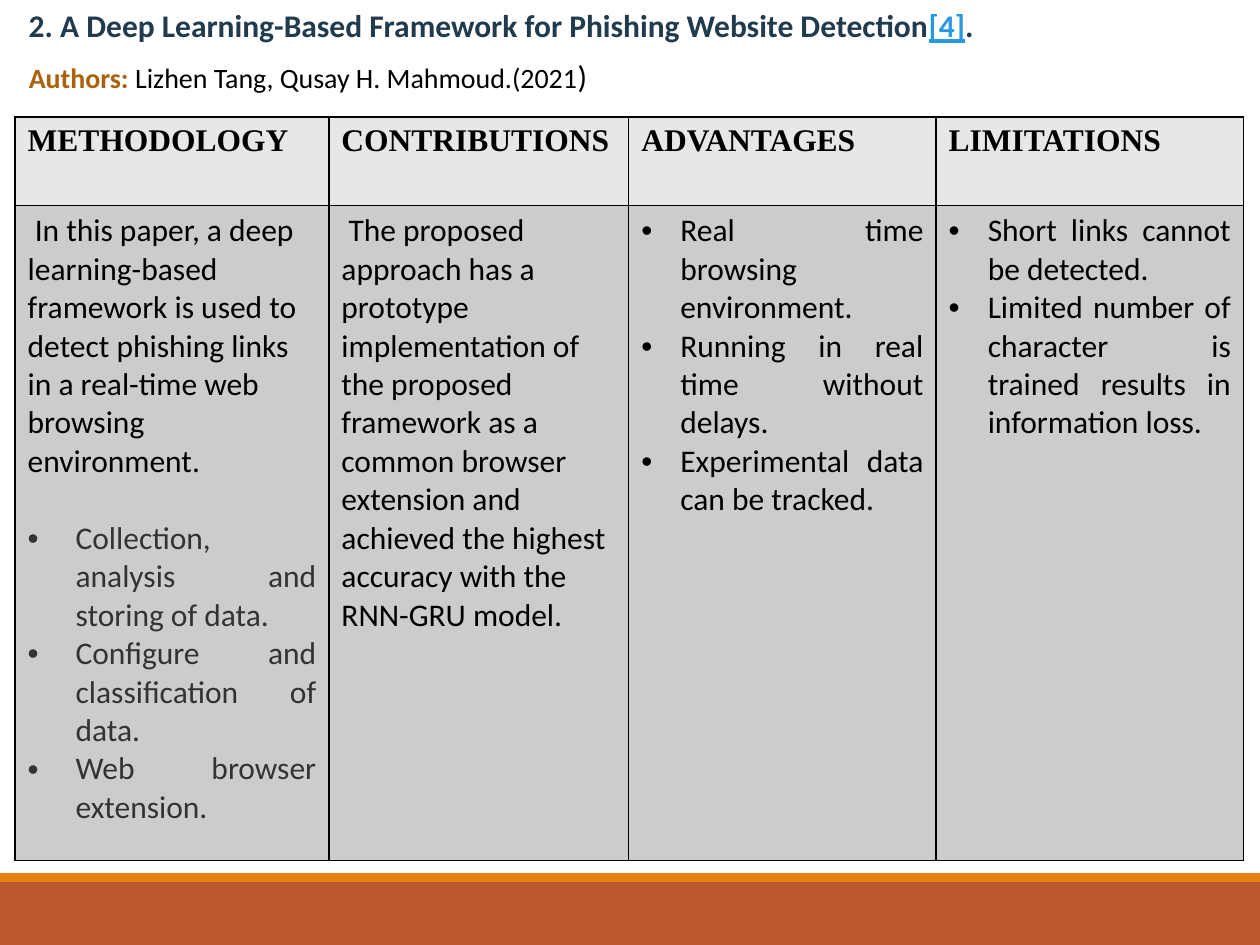
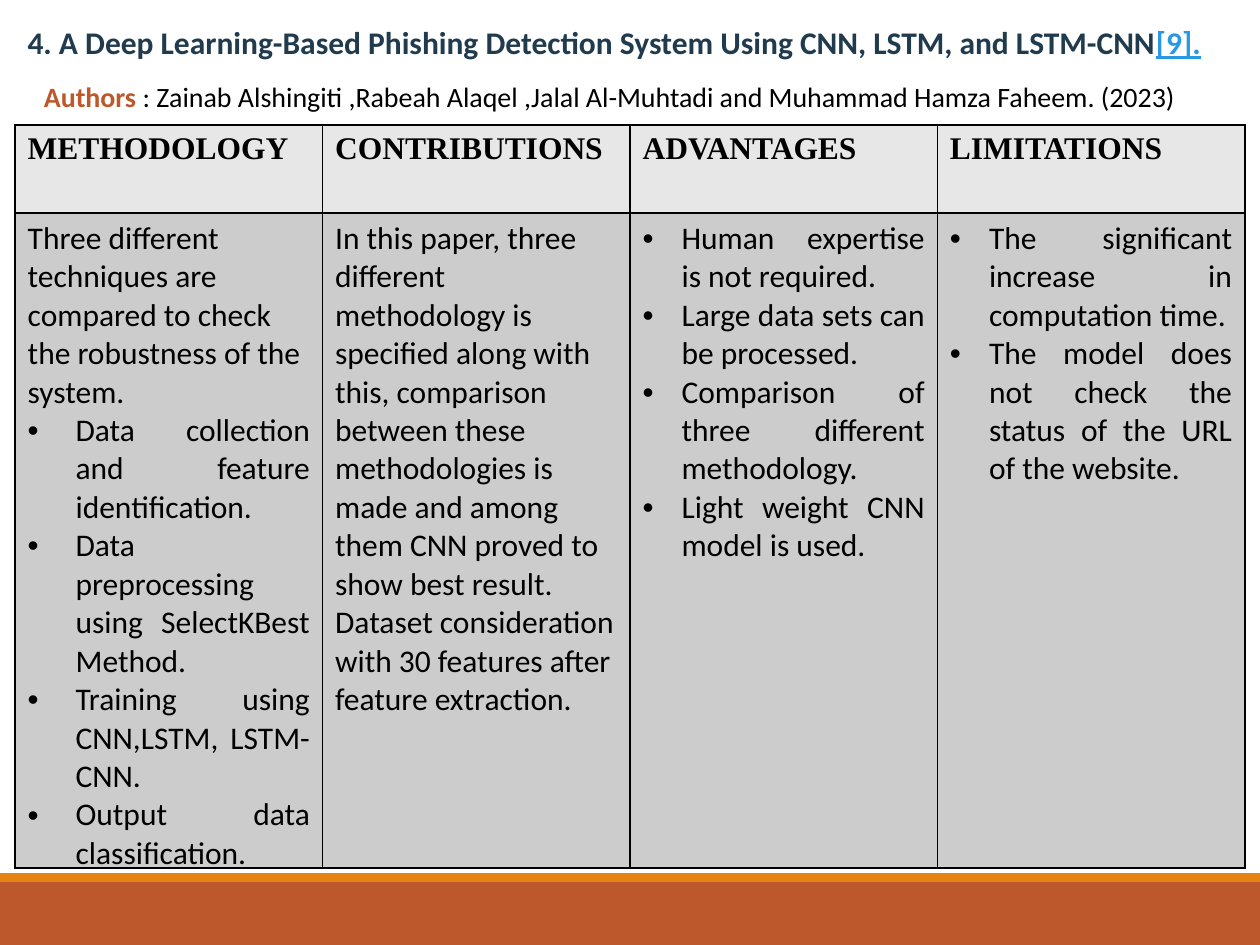
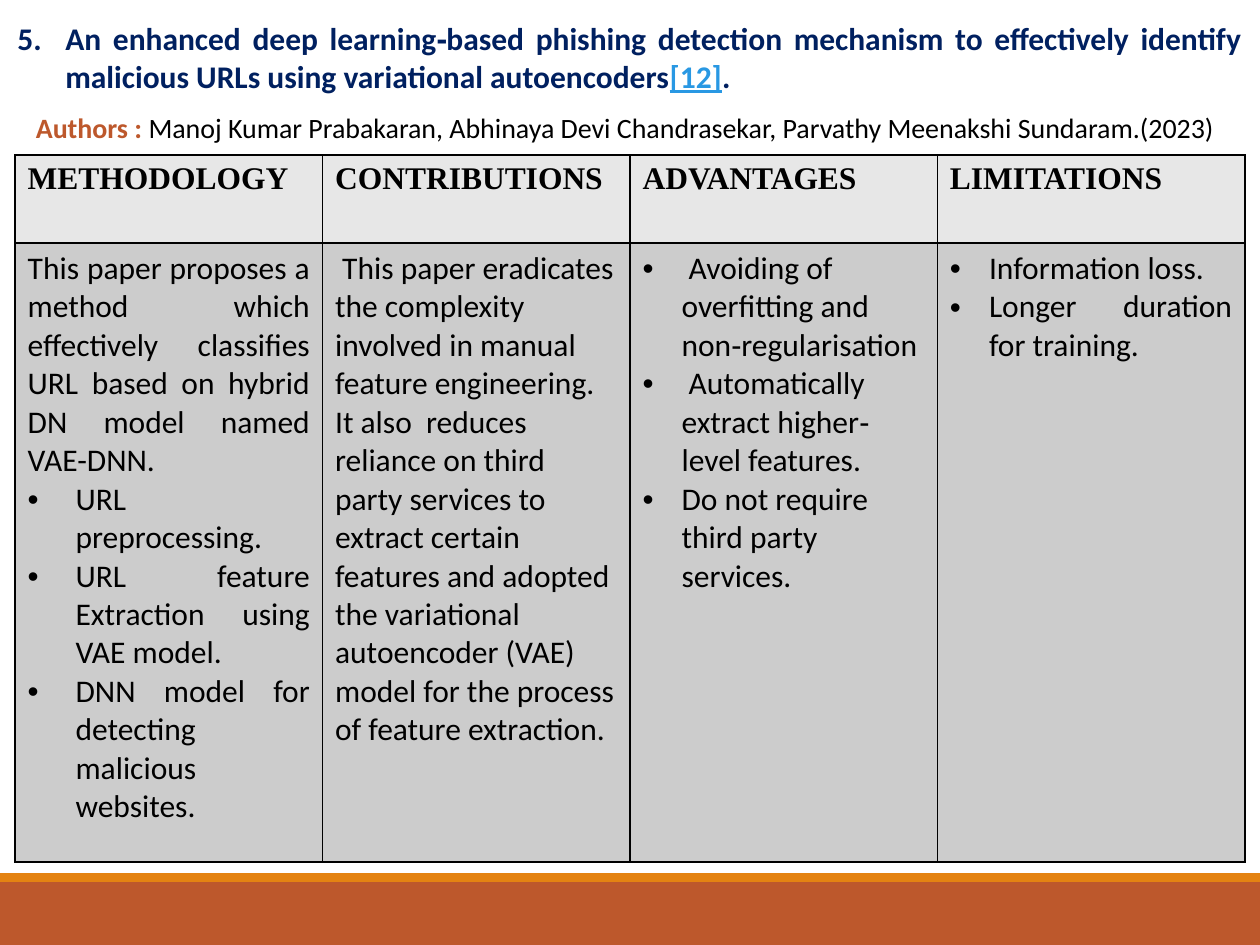
from dataclasses import dataclass

from lxml import etree
from pptx import Presentation
from pptx import util as u
from pptx.dml.color import RGBColor
from pptx.enum import shapes, text
from pptx.oxml.ns import qn

LEFT, JUSTIFY = text.PP_ALIGN.LEFT, text.PP_ALIGN.JUSTIFY


@dataclass(frozen=True)
class Theme:
    body_font: str = "Calibri"
    head_font: str = "Times New Roman"
    large: int = 18
    small: int = 16
    ink: str = "000000"
    soft_ink: str = "333333"
    slate: str = "203A4E"
    navy: str = "002060"
    link: str = "2998E3"
    ochre: str = "AB620D"
    rust: str = "BD582C"
    orange: str = "E48312"
    head_fill: str = "E7E7E7"
    body_fill: str = "CCCCCC"


@dataclass(frozen=True)
class Column:
    intro: str = ""
    bullets: tuple = ()
    intro_align: object = LEFT
    bullet_align: object = JUSTIFY
    bullet_color: str = Theme.ink
    bullet_gap: int = 0


@dataclass(frozen=True)
class Line:
    """A text box above the table; each span is text, size, colour, bold, underline."""
    place: tuple
    spans: tuple
    align: object = JUSTIFY
    number: int = 0


theme = Theme()
HEADINGS = ("METHODOLOGY", "CONTRIBUTIONS", "ADVANTAGES", "LIMITATIONS")
BANDS = ((7, 0.5, theme.rust), (6.93, 0.07, theme.orange))


def hang(para, indent, tag, **attributes):
    """Give the paragraph a hanging indent with the bullet that tag describes."""
    properties = para._p.get_or_add_pPr()
    properties.set("marL", str(u.Inches(indent)))
    properties.set("indent", str(-u.Inches(indent)))
    if tag == "a:buChar":
        etree.SubElement(properties, qn("a:buFont"), typeface="Arial")
    etree.SubElement(properties, qn(tag), **attributes)


def style(font, size, color, bold=False, underline=False, name=theme.body_font):
    font.name, font.size, font.bold = name, u.Pt(size), bold
    font.color.rgb = RGBColor.from_string(color)
    if underline:
        font.underline = True


papers = [
    dict(
        lines=(
            Line((0.13, 0, 9.73, 0.4), (
                ("2. A Deep Learning-Based Framework for Phishing Website Detection",
                 theme.large, theme.slate, True),
                ("[4]", theme.large, theme.link, True, True),
                (".", theme.large, theme.slate, True))),
            Line((0.13, 0.4, 7.21, 0.4), (
                ("Authors: ", theme.small, theme.ochre, True),
                ("Lizhen Tang, Qusay H. Mahmoud.(2021", theme.small, theme.ink),
                (")", theme.large, theme.ink))),
        ),
        top=0.93, widths=(2.49, 2.38, 2.44, 2.44), body_height=5.2,
        columns=(
            Column(" In this paper, a deep learning-based framework is used to detect "
                   "phishing links in a real-time web browsing environment.",
                   ("Collection, analysis and storing of data.",
                    "Configure and classification of data.",
                    "Web browser extension."),
                   bullet_color=theme.soft_ink, bullet_gap=22),
            Column(" The proposed approach has a prototype implementation of the proposed "
                   "framework as a common browser extension and achieved the highest "
                   "accuracy with the RNN-GRU model."),
            Column(bullets=("Real time browsing environment.",
                            "Running in real time without delays.",
                            "Experimental data can be tracked.")),
            Column(bullets=("Short links cannot be detected.",
                            "Limited number of character is trained results in "
                            "information loss.")),
        ),
    ),
    dict(
        lines=(
            Line((0.12, 0.13, 9.75, 0.4), (
                ("4. A Deep Learning-Based Phishing Detection System Using CNN, LSTM, "
                 "and LSTM-CNN", theme.large, theme.slate, True),
                ("[9].", theme.large, theme.link, True, True)), LEFT),
            Line((0.25, 0.58, 9.75, 0.37), (
                ("Authors ", theme.small, theme.rust, True),
                (": Zainab Alshingiti ,Rabeah Alaqel ,Jalal Al-Muhtadi and Muhammad "
                 "Hamza Faheem. (2023)", theme.small, theme.ink))),
        ),
        top=0.99, widths=(2.44,) * 4, body_height=5.2,
        columns=(
            Column("Three different techniques are compared to check the robustness of "
                   "the system.",
                   ("Data collection and feature identification.",
                    "Data preprocessing using SelectKBest Method.",
                    "Training using CNN,LSTM, LSTM-CNN.",
                    "Output data classification.")),
            Column("In this paper, three different methodology is specified along with "
                   "this, comparison between these methodologies is made and among them "
                   "CNN proved to show best result. Dataset consideration with 30 "
                   "features after feature extraction."),
            Column(bullets=("Human expertise is not required.",
                            "Large data sets can be processed.",
                            "Comparison of three different methodology.",
                            "Light weight CNN model is used.")),
            Column(bullets=("The significant increase in computation time.",
                            "The model does not check the status of the URL of the "
                            "website.")),
        ),
    ),
    dict(
        lines=(
            Line((0.04, 0.1, 9.92, 0.71), (
                ("An enhanced deep learning‐based phishing detection mechanism to "
                 "effectively identify malicious URLs using variational autoencoders",
                 theme.large, theme.navy, True),
                ("[12]", theme.large, theme.link, True, True),
                (".", theme.large, theme.navy, True)), number=5),
            Line((0.13, 0.8, 9.74, 0.4), (
                (" ", theme.large, theme.rust, True),
                ("Authors : ", theme.small, theme.rust, True),
                ("Manoj Kumar Prabakaran, Abhinaya Devi Chandrasekar, Parvathy "
                 "Meenakshi Sundaram.(2023)", theme.small, theme.ink)), LEFT),
        ),
        top=1.23, widths=(2.44,) * 4, body_height=4.91,
        columns=(
            Column("This paper proposes a method which effectively classifies URL based "
                   "on hybrid DN model named VAE-DNN.",
                   ("URL preprocessing.",
                    "URL feature Extraction using VAE model.",
                    "DNN model for detecting malicious websites."),
                   intro_align=JUSTIFY),
            Column(" This paper eradicates the complexity involved in manual feature "
                   "engineering. It also  reduces reliance on third party services to "
                   "extract certain features and adopted the variational autoencoder "
                   "(VAE) model for the process of feature extraction."),
            Column(bullets=(" Avoiding of overfitting and non‐regularisation",
                            " Automatically extract higher‐level features.",
                            "Do not require third party services."),
                   bullet_align=LEFT),
            Column(bullets=("Information loss.", "Longer duration for training.")),
        ),
    ),
]

deck = Presentation()
deck.slide_width, deck.slide_height = u.Inches(10), u.Inches(7.5)

for paper in papers:
    page = deck.slides.add_slide(deck.slide_layouts[6])

    for top, height, color in BANDS:
        band = page.shapes.add_shape(shapes.MSO_SHAPE.RECTANGLE, 0, u.Inches(top),
                                     deck.slide_width, u.Inches(height))
        band.shadow.inherit = False
        band.fill.solid()
        band.fill.fore_color.rgb = RGBColor.from_string(color)
        band.line.fill.background()

    for line in paper["lines"]:
        box = page.shapes.add_textbox(*map(u.Inches, line.place))
        box.text_frame.word_wrap = True
        para = box.text_frame.paragraphs[0]
        para.alignment = line.align
        if line.number:
            hang(para, 0.38, "a:buAutoNum", type="arabicPeriod", startAt=str(line.number))
        for words, *look in line.spans:
            span = para.add_run()
            span.text = words
            style(span.font, *look)

    heights = (0.7, paper["body_height"])
    table = page.shapes.add_table(
        2, len(HEADINGS), u.Inches(0.12), u.Inches(paper["top"]),
        u.Inches(sum(paper["widths"])), u.Inches(sum(heights))).table
    table.first_row = table.horz_banding = False
    for row, height in zip(table.rows, heights):
        row.height = u.Inches(height)
    for grid_column, width in zip(table.columns, paper["widths"]):
        grid_column.width = u.Inches(width)

    for index, (heading, column) in enumerate(zip(HEADINGS, paper["columns"])):
        head, body = table.cell(0, index), table.cell(1, index)
        for cell, fill in ((head, theme.head_fill), (body, theme.body_fill)):
            properties = cell._tc.get_or_add_tcPr()
            for side in ("a:lnL", "a:lnR", "a:lnT", "a:lnB"):
                border = etree.SubElement(properties, qn(side), w=str(u.Pt(1)))
                paint = etree.SubElement(border, qn("a:solidFill"))
                etree.SubElement(paint, qn("a:srgbClr"), val=theme.ink)
            cell.fill.solid()
            cell.fill.fore_color.rgb = RGBColor.from_string(fill)
            cell.margin_bottom = 0

        para = head.text_frame.paragraphs[0]
        para.text = heading
        style(para.font, theme.large, theme.ink, bold=True, name=theme.head_font)

        para = body.text_frame.paragraphs[0]
        if column.intro:
            para.text = column.intro
            para.alignment = column.intro_align
            style(para.font, theme.large, theme.ink)
        for order, words in enumerate(column.bullets):
            if order or column.intro:
                para = body.text_frame.add_paragraph()
            para.text = words
            para.alignment = column.bullet_align
            if order == 0 and column.bullet_gap:
                para.space_before = u.Pt(column.bullet_gap)
            hang(para, 0.38 if column.intro else 0.31, "a:buChar", char="•")
            style(para.font, theme.large, column.bullet_color)

deck.save("out.pptx")
